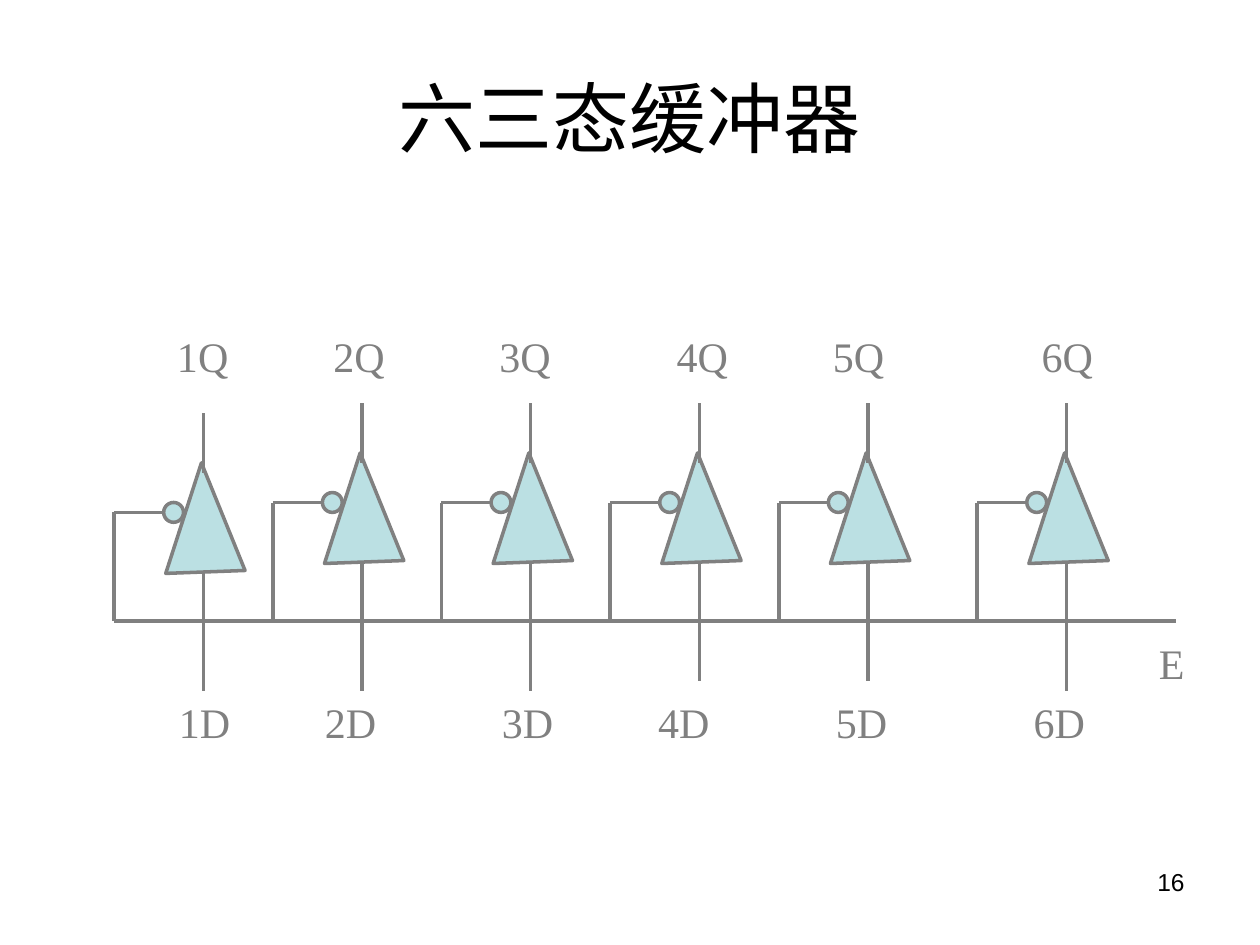
"""Build the slide on the six three-state buffers."""
from lxml import etree
from pptx import Presentation, util as u
from pptx.dml.color import RGBColor
from pptx.enum import shapes, text
from pptx.oxml import ns

TITLE = "六三态缓冲器"
PAGE = "16"
GRAY, FILL, BLACK = "808080", "BBE0E3", "000000"
SERIF = "Times New Roman"
BUS_Y, BUS_END = 12.52, 23.7

# centre x, top of output line, bottom of input line
BUFFERS = [
    (4.1, 8.33, 13.92),
    (7.3, 8.13, 13.92),
    (10.7, 8.13, 13.92),
    (14.1, 8.13, 13.72),
    (17.5, 8.13, 13.72),
    (21.5, 8.13, 13.92),
]
# letter, box, label centres
LABELS = [
    ("D", (2.1, 13.92, 21.6, 1.27), (4.13, 7.07, 10.64, 13.79, 17.37, 21.36)),
    ("Q", (2.9, 6.53, 20.0, 1.27), (4.09, 7.24, 10.59, 14.16, 17.31, 21.52)),
]


def rgb(value):
    return RGBColor.from_string(value)


def lengths(*values):
    return [u.Cm(v) for v in values]


def add_text(s, content, box, size=24, font=SERIF, color=GRAY,
             align=text.PP_ALIGN.LEFT, anchor=text.MSO_ANCHOR.TOP, tabs=()):
    tf = s.shapes.add_textbox(*lengths(*box)).text_frame
    tf.word_wrap = True
    tf.vertical_anchor = anchor
    p = tf.paragraphs[0]
    p.alignment = align
    if tabs:
        stops = etree.SubElement(p._p.get_or_add_pPr(), ns.qn("a:tabLst"))
        for x in tabs:
            pos = u.Cm(x - box[0]) - tf.margin_left
            etree.SubElement(stops, ns.qn("a:tab"), pos=str(pos), algn="ctr")
    r = p.add_run()
    r.text = content
    r.font.size = u.Pt(size)
    r.font.name = font
    r.font.color.rgb = rgb(color)


def style_line(line):
    line.color.rgb = rgb(GRAY)
    line.width = u.Pt(2)


def add_line(s, x1, y1, x2, y2):
    c = s.shapes.add_connector(shapes.MSO_CONNECTOR.STRAIGHT,
                               *lengths(x1, y1, x2, y2))
    style_line(c.line)
    etree.SubElement(c._element.spPr, ns.qn("a:effectLst"))


def add_shape(s, kind, *box, rotation=0):
    sp = s.shapes.add_shape(kind, *lengths(*box))
    sp.shadow.inherit = False
    sp.rotation = rotation
    sp.fill.solid()
    sp.fill.fore_color.rgb = rgb(FILL)
    style_line(sp.line)


def add_buffer(s, x, top, bottom):
    left, enable_x, enable_y = x - 0.8, x - 1.8, top + 2
    add_shape(s, shapes.MSO_SHAPE.OVAL, left, enable_y - 0.2, 0.4, 0.4)
    add_shape(s, shapes.MSO_SHAPE.FLOWCHART_MERGE, left, top + 1, 1.6, 2.2,
              rotation=177.9)
    add_line(s, enable_x, enable_y, left, enable_y)
    add_line(s, enable_x, enable_y, enable_x, BUS_Y)
    add_line(s, x, top, x, top + 1.2)
    add_line(s, x, top + 3.2, x, bottom)


def main():
    prs = Presentation()
    prs.slide_width, prs.slide_height = lengths(25.4, 19.05)
    s = prs.slides.add_slide(prs.slide_layouts[6])
    add_text(s, TITLE, (1.27, 0.76, 22.86, 3.18), size=44, font="Arial",
             color=BLACK, align=text.PP_ALIGN.CENTER,
             anchor=text.MSO_ANCHOR.MIDDLE)
    for buffer in BUFFERS:
        add_buffer(s, *buffer)
    add_line(s, BUFFERS[0][0] - 1.8, BUS_Y, BUS_END, BUS_Y)
    for letter, box, centres in LABELS:
        row = "".join(f"\t{n}{letter}" for n in range(1, len(centres) + 1))
        add_text(s, row, box, tabs=centres)
    add_text(s, "E", (23.11, 12.73, 1.6, 1.27))
    add_text(s, PAGE, (18.21, 17.35, 5.92, 1.32), size=14, font="Arial",
             color=BLACK, align=text.PP_ALIGN.RIGHT)
    prs.save("out.pptx")


if __name__ == "__main__":
    main()
